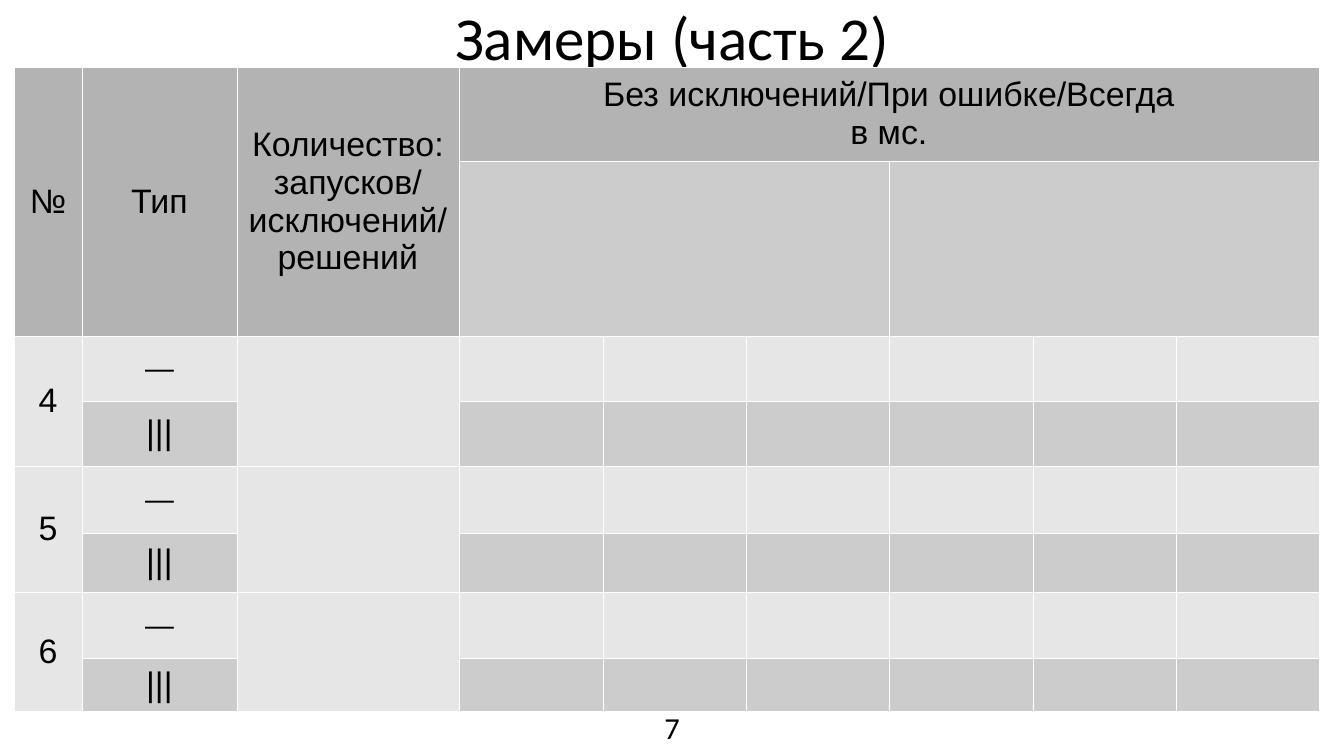
from lxml import etree
from pptx import Presentation
from pptx.dml.color import RGBColor
from pptx.enum.text import MSO_ANCHOR, PP_ALIGN
from pptx.oxml.ns import qn
from pptx.util import Emu, Pt

CENTER = PP_ALIGN.CENTER
MIDDLE = MSO_ANCHOR.MIDDLE
BLACK = RGBColor(0x00, 0x00, 0x00)
HEADER = RGBColor(0xB3, 0xB3, 0xB3)
DARK = RGBColor(0xCC, 0xCC, 0xCC)
LIGHT = RGBColor(0xE6, 0xE6, 0xE6)
WHITE = RGBColor(0xFF, 0xFF, 0xFF)
PX = 7495


def write(tf, text, name, size):
    for i, line in enumerate(text.split("\n")):
        p = tf.paragraphs[0] if i == 0 else tf.add_paragraph()
        p.alignment = CENTER
        r = p.add_run()
        r.text = line
        for key, value in {"name": name, "size": Pt(size)}.items():
            setattr(r.font, key, value)
        r.font.color.rgb = BLACK


def set_borders(cell):
    tc_pr = cell._tc.get_or_add_tcPr()
    for i, side in enumerate(("lnL", "lnR", "lnT", "lnB")):
        ln = etree.Element(qn(f"a:{side}"), w="762")
        fill = etree.SubElement(ln, qn("a:solidFill"))
        etree.SubElement(fill, qn("a:srgbClr"), val=str(WHITE))
        tc_pr.insert(i, ln)


prs = Presentation()
prs.slide_width = Emu(1344 * PX)
prs.slide_height = Emu(756 * PX)
s = prs.slides.add_slide(prs.slide_layouts[6])

for text, top, height, size in (("Замеры (часть 2)", -1, 74, 36), ("7", 697, 60, 18)):
    sp = s.shapes.add_textbox(0, top * PX, 1344 * PX, height * PX)
    tf = sp.text_frame
    frame_format = {"word_wrap": True, "vertical_anchor": MIDDLE, "margin_left": 0,
                    "margin_right": 0, "margin_top": 0, "margin_bottom": 0}
    for key, value in frame_format.items():
        setattr(tf, key, value)
    write(tf, text, "Calibri", size)

widths = [68, 155, 222] + [144, 143, 143] * 2
heights = [94, 163, 65, 65, 67, 59, 67, 53]
table = s.shapes.add_table(len(heights), len(widths), 14 * PX, 67 * PX,
                           sum(widths) * PX, sum(heights) * PX).table
for column, width in zip(table.columns, widths):
    column.width = Emu(width * PX)
for row, height in zip(table.rows, heights):
    row.height = Emu(height * PX)

labels = {
    (0, 0): "№",
    (0, 1): "Тип",
    (0, 2): "Количество:\nзапусков/\nисключений/\nрешений",
    (0, 3): "Без исключений/При ошибке/Всегда\nв мс.",
}
merges = [(0, 3, 0, 8), (1, 3, 1, 5), (1, 6, 1, 8)]
merges += [(0, col, 1, col) for col in range(3)]
for number, row in enumerate(range(2, 8, 2), 4):
    labels[row, 0] = str(number)
    labels[row, 1] = "—"
    labels[row + 1, 1] = "|||"
    merges += [(row, 0, row + 1, 0), (row, 2, row + 1, 2)]

cell_format = {"vertical_anchor": MIDDLE, "margin_left": 10 * PX, "margin_right": 10 * PX,
               "margin_top": 6 * PX, "margin_bottom": 6 * PX}
for row in range(len(heights)):
    for col in range(len(widths)):
        cell = table.cell(row, col)
        for key, value in cell_format.items():
            setattr(cell, key, value)
        cell.fill.solid()
        cell.fill.fore_color.rgb = HEADER if row == 0 else DARK if row % 2 else LIGHT
        set_borders(cell)
        if (row, col) in labels:
            text = labels[row, col]
            write(cell.text_frame, text, "Arial", 17 if text == "—" else 20)

for top, left, bottom, right in merges:
    table.cell(top, left).merge(table.cell(bottom, right))

prs.save("out.pptx")
